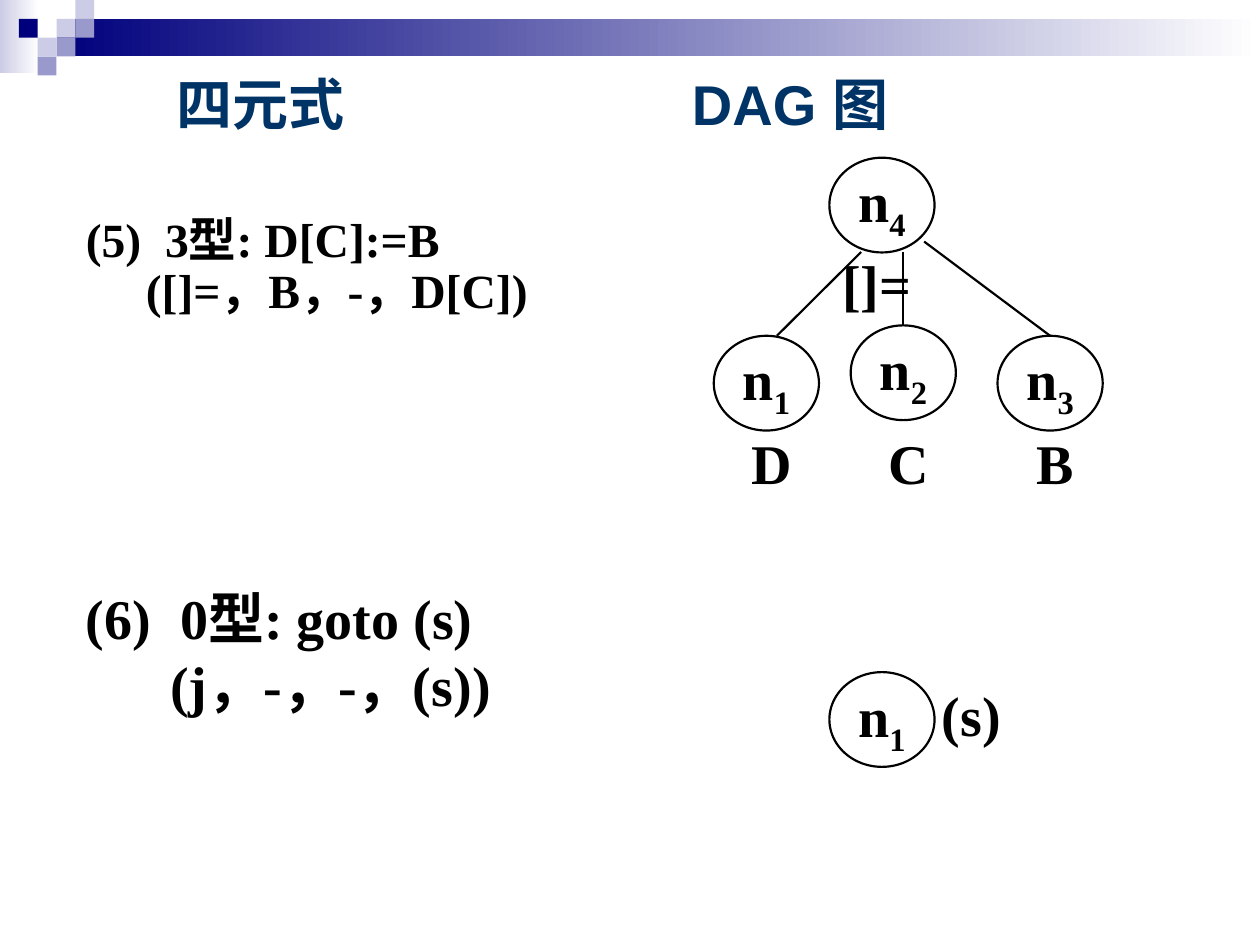
from lxml.etree import SubElement
from pptx import Presentation
from pptx.dml.color import RGBColor
from pptx.enum.shapes import MSO_CONNECTOR as Link, MSO_SHAPE as Kind
from pptx.enum.text import MSO_ANCHOR as Anchor, PP_ALIGN as Align
from pptx.oxml.ns import qn
from pptx.util import Cm, Pt

rgb = RGBColor.from_string


def write(shape, lines, size=32, font="Times New Roman", color="000000",
          mid=True, space=1, tab=0, indent=0):
    """Fill a shape with lines, each a list of (text, is_subscript) runs.

    tab is the stop of the first line, indent the left margin of the others.
    """
    frame = shape.text_frame
    frame.word_wrap = not mid
    frame.vertical_anchor = Anchor.MIDDLE if mid else Anchor.TOP
    for row, runs in enumerate(lines):
        para = frame.add_paragraph() if row else frame.paragraphs[0]
        para.alignment = Align.CENTER if mid else Align.LEFT
        para.line_spacing = space
        props = para._p.get_or_add_pPr()
        if row and indent:
            props.set("marL", str(Cm(indent)))
        elif tab:
            stops = SubElement(props, qn("a:tabLst"))
            SubElement(stops, qn("a:tab"), pos=str(Cm(tab)), algn="l")
        for text, sub in runs:
            run = para.add_run()
            run.text = text
            run.font.size = Pt(size)
            run.font.name = font
            run.font.bold = True
            run.font.color.rgb = rgb(color)
            if sub:
                run.font._element.set("baseline", "-25000")


deck = Presentation()
deck.slide_width, deck.slide_height = Cm(25.4), Cm(19.05)
slide = deck.slides.add_slide(deck.slide_layouts[6])
shapes = slide.shapes

# Header: two fading bars, then a mosaic on a square grid
cell = 0.38
bars = [(0, 0, 0.79, 1.47, "CCCCE6"), (1.14, cell, 24.26, 0.76, "00007D")]
for x, y, w, h, color in bars:
    bar = shapes.add_shape(Kind.RECTANGLE, Cm(x), Cm(y), Cm(w), Cm(h))
    bar.shadow.inherit = False
    bar.line.fill.background()
    bar.fill.gradient()
    bar.fill.gradient_angle = 0
    for stop, tone in zip(bar.fill.gradient_stops, (color, "FFFFFF")):
        stop.color.rgb = rgb(tone)

tiles = [(3, 1, "CCCCE6"), (4, 0, "CCCCE6"), (4, 1, "9999CC"),
         (2, 2, "CCCCE6"), (1, 1, "00007D"), (3, 2, "9999CC"),
         (2, 3, "9999CC")]
for col, row, color in tiles:
    tile = shapes.add_shape(Kind.RECTANGLE, Cm(col * cell), Cm(row * cell),
                            Cm(cell), Cm(cell))
    tile.shadow.inherit = False
    tile.line.fill.background()
    tile.fill.solid()
    tile.fill.fore_color.rgb = rgb(color)

# Title and the two quadruple forms
title = shapes.add_textbox(Cm(3.3), Cm(1.27), Cm(21.17), Cm(1.9))
write(title, [[("四元式\tDAG 图", False)]], font="Arial", color="003366",
      mid=False, tab=10.4)

store = shapes.add_textbox(Cm(1.48), Cm(4.23), Cm(11), Cm(3.6))
write(store, [[("(5)\t3型: D[C]:=B", False)],
              [("([]=，B，-，D[C])", False)]],
      size=27.2, mid=False, space=0.9, tab=1.6, indent=1.21)

jump = shapes.add_textbox(Cm(1.48), Cm(11.64), Cm(11.43), Cm(3.6))
write(jump, [[("(6)\t0型: goto (s)", False)], [("(j，-，-，(s))", False)]],
      mid=False, tab=1.9, indent=1.7)

# Graph edges
edges = [(17.36, 5.08, 15.66, 6.77), (18.2, 5.08, 18.2, 6.56),
         (18.63, 4.87, 21.17, 6.77)]
for ends in edges:
    edge = shapes.add_connector(Link.STRAIGHT, *map(Cm, ends))
    edge.line.color.rgb = rgb("000000")
    edge.line.width = Pt(1.25)
    SubElement(edge._element.spPr, qn("a:effectLst"))

# Graph nodes
nodes = [("4", 16.72, 3.18), ("1", 14.39, 6.77), ("2", 17.15, 6.56),
         ("3", 20.11, 6.77), ("1", 16.72, 13.55)]
for num, x, y in nodes:
    node = shapes.add_shape(Kind.OVAL, Cm(x), Cm(y), Cm(2.12), Cm(1.91))
    node.shadow.inherit = False
    node.fill.background()
    node.line.color.rgb = rgb("000000")
    node.line.width = Pt(1.25)
    write(node, [[("n", False), (num, True)]])

# Node labels
labels = [("[]=", 16.72, 4.87), ("D", 14.61, 8.47), ("C", 17.36, 8.47),
          ("B", 20.32, 8.47), ("(s)", 18.63, 13.55)]
for text, x, y in labels:
    label = shapes.add_textbox(Cm(x), Cm(y), Cm(1.91), Cm(1.69))
    write(label, [[(text, False)]])

deck.save("out.pptx")
